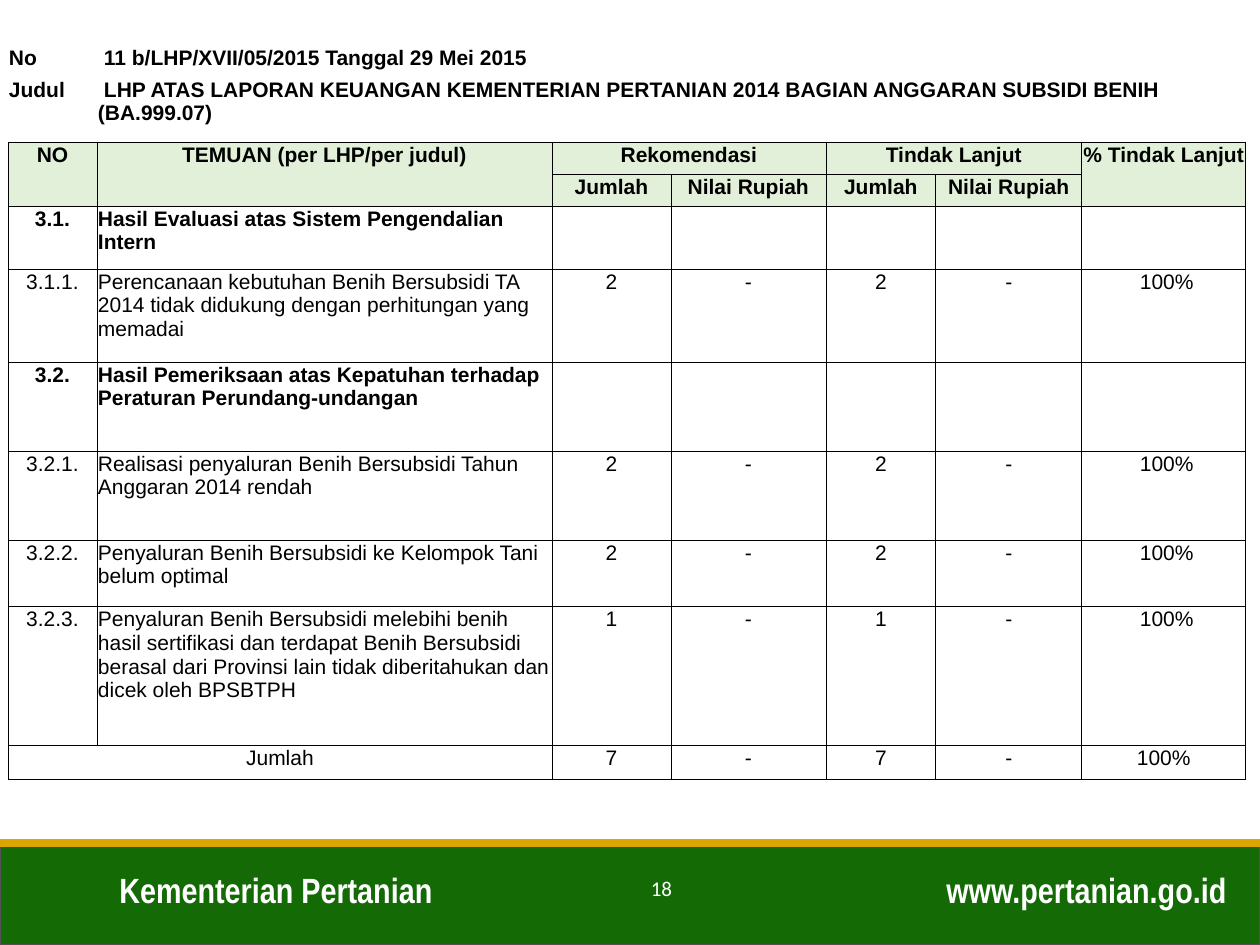
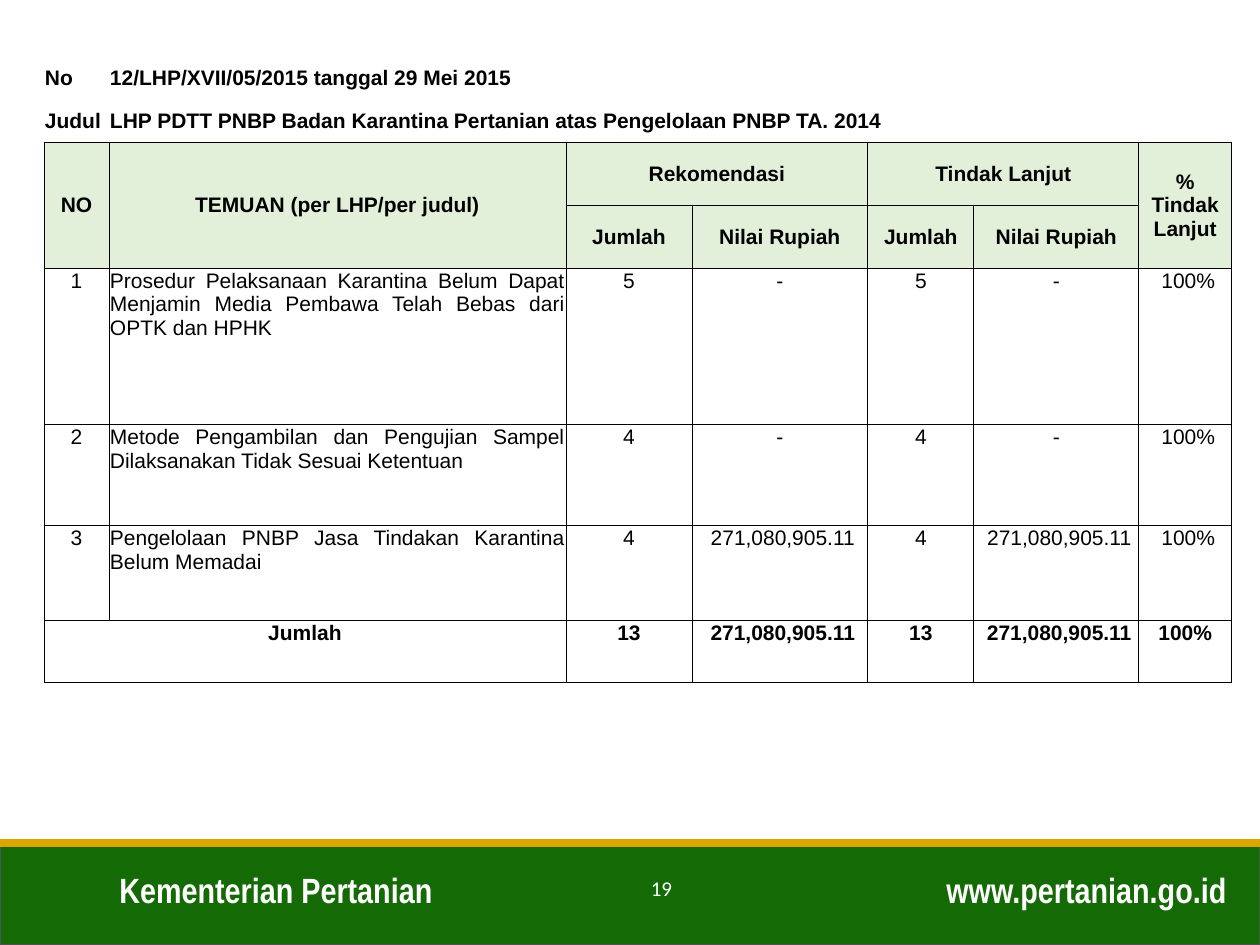
"""Build two audit follow-up slides with findings tables and a shared footer."""
from dataclasses import dataclass
from typing import NamedTuple

from lxml.etree import SubElement
from pptx import Presentation
from pptx.dml.color import RGBColor
from pptx.enum.shapes import MSO_CONNECTOR as Connector, MSO_SHAPE as Shape
from pptx.enum.text import MSO_ANCHOR as Anchor, PP_ALIGN as Align
from pptx.oxml.ns import qn
from pptx.util import Emu, Pt

PX = 914400 / 126
WIDTH, HEIGHT = 1260, 945
BAND_TOP = 843
BLACK, WHITE = "000000", "FFFFFF"
GREEN, GOLD, GREY, PALE = "146B05", "DAA600", "525252", "E2F0D9"
NO_GRID_STYLE = "{2D5ABB26-0587-4C30-8999-92F81FD0307C}"
PADDING = 6


class Label(NamedTuple):
    text: str
    left: int
    top: int
    width: int
    height: int
    align: Align
    font: str = "Arial Narrow"
    size: int = 20
    bold: bool = True


class Row(NamedTuple):
    height: int
    no: str
    finding: str
    recommended: str = ""
    rec_rupiah: str = ""
    followed: str = ""
    fol_rupiah: str = ""
    percent: str = ""
    bold: bool = False


@dataclass
class Report:
    page: str
    number: str
    title: str
    left: int
    top: int
    columns: list[int]
    field_starts: list[int]
    number_starts: list[int]
    info_heights: list[int]
    head_heights: list[int]
    rows: list[Row]
    head_anchor: Anchor
    finding_align: Align
    info_indent: int = 0

    @property
    def heights(self) -> list[int]:
        """List the heights of all table rows."""
        return self.info_heights + self.head_heights + [r.height for r in self.rows]

    @property
    def head_row(self) -> int:
        """Give the index of the first column-head row."""
        return len(self.info_heights)

    @property
    def body_row(self) -> int:
        """Give the index of the first finding row."""
        return self.head_row + len(self.head_heights)


FOOTER = [
    Label("Kementerian Pertanian", 107, 862, 461, 55, Align.LEFT),
    Label("www.pertanian.go.id", 889, 862, 350, 55, Align.RIGHT),
]

REPORTS = [
    Report(
        "18", "11 b/LHP/XVII/05/2015 Tanggal 29 Mei 2015",
        "LHP ATAS LAPORAN KEUANGAN KEMENTERIAN PERTANIAN 2014 BAGIAN ANGGARAN "
        "SUBSIDI BENIH (BA.999.07)",
        8, 45, [89, 455, 119, 83, 72, 48, 62, 98, 48, 164],
        [0, 1, 2, 3, 5, 7, 9], [0, 1, 4, 6, 8], [32, 32, 33], [32, 32],
        [
            Row(63, "3.1.", "Hasil Evaluasi atas Sistem Pengendalian Intern", bold=True),
            Row(93, "3.1.1.", "Perencanaan kebutuhan Benih Bersubsidi TA 2014 tidak "
                "didukung dengan perhitungan yang memadai", "2", "-", "2", "-", "100%"),
            Row(89, "3.2.", "Hasil Pemeriksaan atas Kepatuhan terhadap Peraturan "
                "Perundang-undangan", bold=True),
            Row(89, "3.2.1.", "Realisasi penyaluran Benih Bersubsidi Tahun Anggaran "
                "2014 rendah", "2", "-", "2", "-", "100%"),
            Row(67, "3.2.2.", "Penyaluran Benih Bersubsidi ke Kelompok Tani belum "
                "optimal", "2", "-", "2", "-", "100%"),
            Row(139, "3.2.3.", "Penyaluran Benih Bersubsidi melebihi benih hasil "
                "sertifikasi dan terdapat Benih Bersubsidi berasal dari Provinsi lain "
                "tidak diberitahukan dan dicek oleh BPSBTPH", "1", "-", "1", "-", "100%"),
            Row(34, "Jumlah", "", "7", "-", "7", "-", "100%"),
        ],
        Anchor.TOP, Align.LEFT, PADDING,
    ),
    Report(
        "19", "12/LHP/XVII/05/2015 tanggal 29 Mei 2015",
        "LHP PDTT PNBP Badan Karantina Pertanian atas Pengelolaan PNBP TA. 2014",
        44, 65, [65, 457, 19, 107, 72, 104, 106, 73, 92, 93],
        [0, 1, 2, 4, 6, 7, 9], [0, 1, 3, 5, 6, 8], [43, 34], [63, 63],
        [
            Row(157, "1", "Prosedur Pelaksanaan Karantina Belum Dapat Menjamin Media "
                "Pembawa Telah Bebas dari OPTK dan HPHK", "5", "-", "5", "-", "100%"),
            Row(101, "2", "Metode Pengambilan dan Pengujian Sampel Dilaksanakan Tidak "
                "Sesuai Ketentuan", "4", "-", "4", "-", "100%"),
            Row(95, "3", "Pengelolaan PNBP Jasa Tindakan Karantina Belum Memadai",
                "4", "271,080,905.11", "4", "271,080,905.11", "100%"),
            Row(62, "Jumlah", "", "13", "271,080,905.11", "13", "271,080,905.11",
                "100%", bold=True),
        ],
        Anchor.MIDDLE, Align.JUSTIFY,
    ),
]


def px(value: int) -> Emu:
    """Turn px into EMU."""
    return Emu(round(value * PX))


def rgb(color: str) -> RGBColor:
    """Turn a hex string into a colour."""
    return RGBColor.from_string(color)


def add_run(p, text: str, font: str, size: int, color: str, bold: bool) -> None:
    """Add one formatted run to a paragraph."""
    r = p.add_run()
    r.text = text
    r.font.name, r.font.size, r.font.bold = font, Pt(size), bold
    r.font.color.rgb = rgb(color)


def add_label(s, label: Label) -> None:
    """Add a white footer label."""
    tf = s.shapes.add_textbox(
        px(label.left), px(label.top), px(label.width), px(label.height)).text_frame
    tf.word_wrap = True
    p = tf.paragraphs[0]
    p.alignment = label.align
    add_run(p, label.text, label.font, label.size, WHITE, label.bold)


def add_footer(s, page: str) -> None:
    """Draw the green band, its gold edge, the labels and the page number."""
    band = s.shapes.add_shape(
        Shape.RECTANGLE, 0, px(BAND_TOP), px(WIDTH), px(HEIGHT - BAND_TOP))
    band.shadow.inherit = False
    band.fill.solid()
    band.fill.fore_color.rgb = rgb(GREEN)
    band.line.color.rgb, band.line.width = rgb(GREY), Pt(1)
    edge = s.shapes.add_connector(
        Connector.STRAIGHT, 0, px(BAND_TOP), px(WIDTH), px(BAND_TOP))
    edge.line.color.rgb, edge.line.width = rgb(GOLD), Pt(4.5)
    SubElement(edge._element.spPr, qn("a:effectLst"))
    number = Label(page, 630, 869, 63, 54, Align.CENTER, "Calibri", 12, False)
    for label in [*FOOTER, number]:
        add_label(s, label)


def add_borders(cell) -> None:
    """Give a cell thin black borders on all sides."""
    tc_pr = cell._tc.get_or_add_tcPr()
    for side in ("lnL", "lnR", "lnT", "lnB"):
        line = SubElement(tc_pr, qn(f"a:{side}"), w=str(Pt(0.5)))
        SubElement(SubElement(line, qn("a:solidFill")), qn("a:srgbClr"), val=BLACK)


def write_cell(cell, text: str, align: Align, bold: bool = True,
               indent: int = 0, pad: int = 0) -> None:
    """Write text into a cell, with an optional first-line indent or left padding."""
    p = cell.text_frame.paragraphs[0]
    p.alignment = align
    if indent:
        p._p.get_or_add_pPr().set("indent", str(px(indent)))
    cell.margin_left = px(1 + pad)
    if text:
        add_run(p, text, "Arial", 12, BLACK, bold)


def format_grid(tbl, report: Report) -> None:
    """Set sizes, margins, borders and fills of the whole table."""
    for column, width in zip(tbl.columns, report.columns):
        column.width = px(width)
    for i, (row, height) in enumerate(zip(tbl.rows, report.heights)):
        row.height = px(height)
        is_head = report.head_row <= i < report.body_row
        for cell in row.cells:
            if i >= report.head_row:
                add_borders(cell)
            cell.margin_left = cell.margin_right = cell.margin_top = px(1)
            cell.margin_bottom = 0
            cell.vertical_anchor = report.head_anchor if is_head else Anchor.TOP
            cell.fill.solid()
            cell.fill.fore_color.rgb = rgb(PALE if is_head else WHITE)
            p = cell.text_frame.paragraphs[0]
            SubElement(p._p, qn("a:endParaRPr"), sz="1200")


def join(tbl, top: int, left: int, bottom: int, right: int) -> None:
    """Merge a block of cells unless it is a single cell."""
    if (top, left) != (bottom, right):
        tbl.cell(top, left).merge(tbl.cell(bottom, right))


def join_fields(tbl, row: int, starts: list[int], total: int) -> None:
    """Merge the cells of a row between consecutive starts."""
    for left, after in zip(starts, starts[1:] + [total]):
        join(tbl, row, left, row, after - 1)


def write_info(tbl, report: Report) -> None:
    """Write the report number and title above the grid."""
    total = len(report.columns)
    join_fields(tbl, 0, report.number_starts, total)
    join(tbl, 1, 1, report.head_row - 1, total - 1)
    for i, (name, value) in enumerate([("No", report.number), ("Judul", report.title)]):
        write_cell(tbl.cell(i, 0), name, Align.LEFT)
        write_cell(tbl.cell(i, 1), value, Align.LEFT, indent=report.info_indent)


def write_head(tbl, report: Report) -> None:
    """Write the two-level column heads."""
    top, starts = report.head_row, report.field_starts
    tall = {0: "NO", 1: "TEMUAN (per LHP/per judul)", 6: "% Tindak Lanjut"}
    for field, text in tall.items():
        col = starts[field]
        join(tbl, top, col, top + 1, col)
        write_cell(tbl.cell(top, col), text, Align.CENTER)
    join_fields(tbl, top + 1, starts, len(report.columns))
    for field, text in {2: "Rekomendasi", 4: "Tindak Lanjut"}.items():
        join(tbl, top, starts[field], top, starts[field + 2] - 1)
        write_cell(tbl.cell(top, starts[field]), text, Align.CENTER)
        for col, part in zip(starts[field:], ("Jumlah", "Nilai Rupiah")):
            write_cell(tbl.cell(top + 1, col), part, Align.CENTER)


def write_rows(tbl, report: Report) -> None:
    """Write the findings and the total row."""
    for i, row in enumerate(report.rows, report.body_row):
        is_total = not row.finding
        fields = list(zip(report.field_starts, row[1:-1]))
        if is_total:
            fields.pop(1)
        join_fields(tbl, i, [col for col, _ in fields], len(report.columns))
        for col, text in fields:
            align = report.finding_align if col == 1 else Align.CENTER
            shifted = (text == row.percent and not is_total) or "," in text
            pad = PADDING if shifted and col > 1 else 0
            write_cell(tbl.cell(i, col), text, align, row.bold, pad=pad)


def add_report(prs, report: Report) -> None:
    """Add one slide with its footer and findings table."""
    s = prs.slides.add_slide(prs.slide_layouts[6])
    add_footer(s, report.page)
    tbl = s.shapes.add_table(
        len(report.heights), len(report.columns), px(report.left), px(report.top),
        px(sum(report.columns)), px(sum(report.heights))).table
    tbl._tbl.tblPr.find(qn("a:tableStyleId")).text = NO_GRID_STYLE
    tbl.first_row = tbl.horz_banding = False
    format_grid(tbl, report)
    write_info(tbl, report)
    write_head(tbl, report)
    write_rows(tbl, report)


def main() -> None:
    """Build and save the presentation."""
    prs = Presentation()
    prs.slide_width, prs.slide_height = px(WIDTH), px(HEIGHT)
    for report in REPORTS:
        add_report(prs, report)
    prs.save("out.pptx")


if __name__ == "__main__":
    main()
